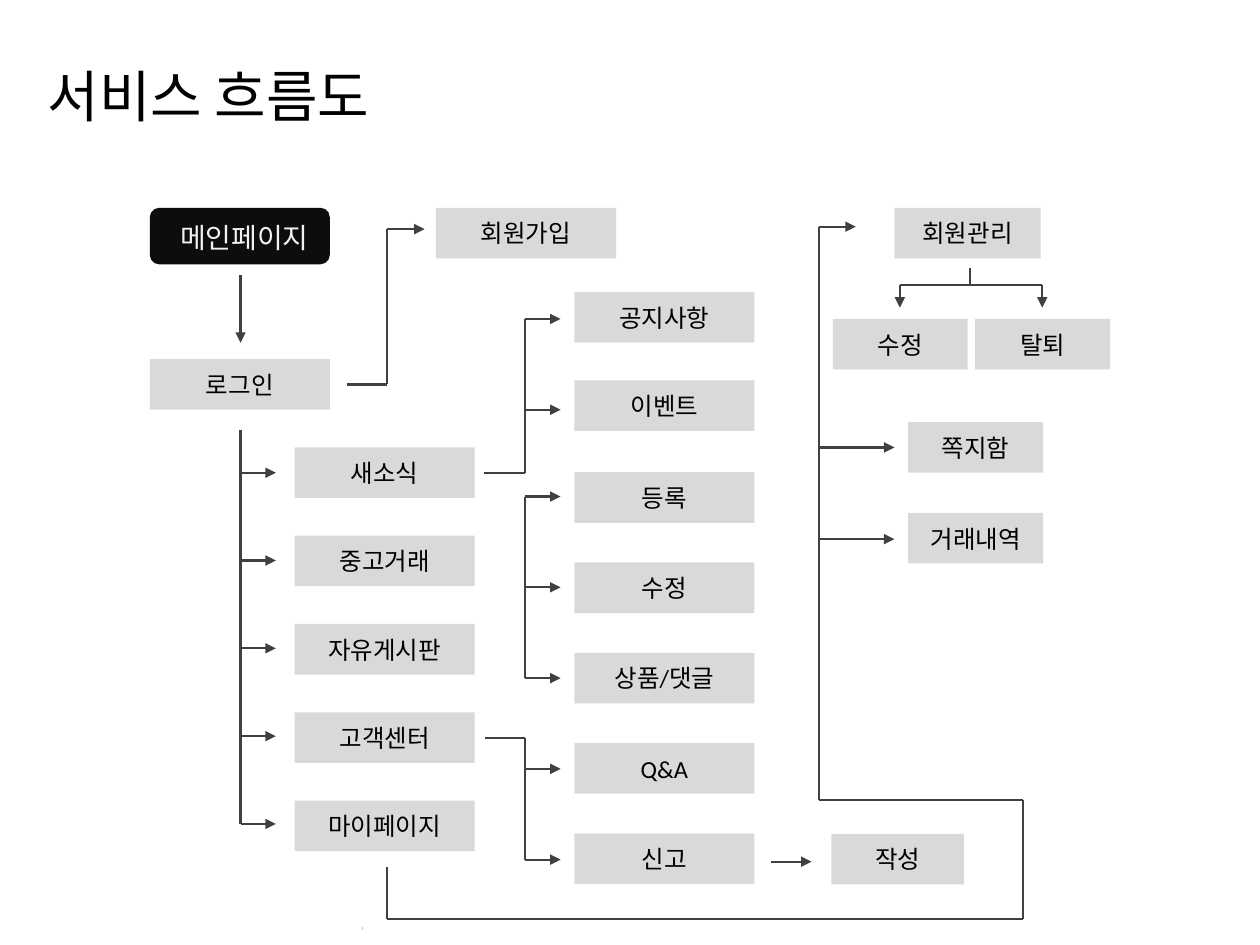
"""Build the service flow chart slide."""
from dataclasses import dataclass

from lxml import etree
from pptx import Presentation
from pptx.dml.color import RGBColor
from pptx.enum.shapes import MSO_CONNECTOR, MSO_SHAPE
from pptx.enum.text import MSO_ANCHOR, MSO_AUTO_SIZE, PP_ALIGN
from pptx.oxml.ns import qn
from pptx.util import Cm, Pt

STRAIGHT = MSO_CONNECTOR.STRAIGHT
RECTANGLE, ROUNDED = MSO_SHAPE.RECTANGLE, MSO_SHAPE.ROUNDED_RECTANGLE
TOP, MIDDLE = MSO_ANCHOR.TOP, MSO_ANCHOR.MIDDLE
LEFT, CENTER = PP_ALIGN.LEFT, PP_ALIGN.CENTER
GROW = MSO_AUTO_SIZE.SHAPE_TO_FIT_TEXT


@dataclass(frozen=True)
class Theme:
    """Colours, fonts and type sizes of the slide."""
    ink: str = "000000"
    start_fill: str = "0D0D0D"
    start_ink: str = "F2F2F2"
    box_fill: str = "D9D9D9"
    line: str = "404040"
    mark: str = "BFBFBF"
    title_font: str = "Lato"
    start_font: str = "Roboto"
    box_font: str = "Calibri"
    title_size: float = 32
    start_size: float = 16
    box_size: float = 14
    line_width: float = 1.25
    mark_width: float = 1.5


THEME = Theme()
WIDE, NARROW, HEIGHT = 3.63, 2.72, 1.02
MENU_X, MENU_Y, MENU_STEP = 5.94, 9.02, 1.78
PAGE_X, PAGE_Y, PAGE_STEP = 11.58, 9.52, 1.82
MENU = ("새소식", "중고거래", "자유게시판", "고객센터", "마이페이지")
PAGES = ("등록", "수정", "상품/댓글", "Q&A", "신고")
BOXES = (
    ("로그인", 3.02, 7.24, WIDE),
    ("회원가입", 8.79, 4.19, WIDE),
    ("공지사항", PAGE_X, 5.89, WIDE),
    ("이벤트", PAGE_X, 7.67, WIDE),
    ("작성", 16.76, 16.81, 2.67),
    ("회원관리", 18.03, 4.19, 2.95),
    ("수정", 16.79, 6.43, NARROW),
    ("탈퇴", 19.66, 6.43, NARROW),
    ("쪽지함", 18.31, 8.51, NARROW),
    ("거래내역", 18.31, 10.34, NARROW),
)
MENU_TRUNK, PAGE_TRUNK, MEMBER_TRUNK = 4.85, 10.58, 16.51
MENU_ARROWS = [9.53 + 1.77 * row for row in range(5)]
PAGE_ARROWS = [10.01 + 1.83 * row for row in range(5)]
TRUNKS = (
    ((MENU_TRUNK, 8.66), (MENU_TRUNK, MENU_ARROWS[-1])),
    ((9.75, 9.53), (PAGE_TRUNK, 9.53), (PAGE_TRUNK, 6.43)),
    ((PAGE_TRUNK, PAGE_ARROWS[0]), (PAGE_TRUNK, PAGE_ARROWS[2])),
    ((9.78, 14.88), (PAGE_TRUNK, 14.88), (PAGE_TRUNK, PAGE_ARROWS[-1])),
    ((7.8, 17.48), (7.8, 18.53), (20.62, 18.53), (20.62, 16.13),
     (MEMBER_TRUNK, 16.13), (MEMBER_TRUNK, 4.57)),
    ((19.56, 5.41), (19.56, 5.74)),
)
ARROWS = (
    ((MENU_TRUNK, 5.54), (MENU_TRUNK, 6.91)),
    ((6.99, 7.75), (7.8, 7.75), (7.8, 4.62), (8.56, 4.62)),
    ((15.54, 17.37), (16.36, 17.37)),
    ((19.56, 5.74), (18.14, 5.74), (18.14, 6.2)),
    ((19.56, 5.74), (21.01, 5.74), (21.01, 6.2)),
)
BRANCHES = (
    (MENU_TRUNK, 5.56, MENU_ARROWS),
    (PAGE_TRUNK, 11.3, [6.43, 8.26, *PAGE_ARROWS]),
    (MEMBER_TRUNK, 17.25, [4.57]),
    (MEMBER_TRUNK, 18.03, [9.02, 10.87]),
)


def write(shape, text, font, size, color, align, anchor):
    """Write one formatted paragraph into a shape."""
    frame = shape.text_frame
    frame.word_wrap = True
    frame.vertical_anchor = anchor
    paragraph = frame.paragraphs[0]
    paragraph.alignment = align
    span = paragraph.add_run()
    span.text = text
    span.font.name = font
    span.font.size = Pt(size)
    span.font.color.rgb = RGBColor.from_string(color)


def add_block(page, kind, color, left, top, width, height):
    """Add a filled shape without outline or shadow."""
    block = page.shapes.add_shape(kind, Cm(left), Cm(top), Cm(width), Cm(height))
    block.shadow.inherit = False
    block.fill.solid()
    block.fill.fore_color.rgb = RGBColor.from_string(color)
    block.line.fill.background()
    return block


def add_box(page, text, left, top, width):
    """Add a grey step of the flow."""
    box = add_block(page, RECTANGLE, THEME.box_fill, left, top, width, HEIGHT)
    write(box, text, THEME.box_font, THEME.box_size, THEME.ink, CENTER, MIDDLE)


def add_title(page, text):
    """Place and fill the title placeholder."""
    title = page.shapes.title
    title.left, title.top = Cm(0.71), Cm(1.12)
    title.width, title.height = Cm(11.38), Cm(1.63)
    write(title, text, THEME.title_font, THEME.title_size, THEME.ink, LEFT, TOP)
    title.text_frame.auto_size = GROW


def add_start(page, text):
    """Add the dark starting step and its label."""
    add_block(page, ROUNDED, THEME.start_fill, 3.02, 4.19, WIDE, 1.14)
    label = page.shapes.add_textbox(Cm(3.38), Cm(4.32), Cm(3.43), Cm(0.94))
    write(label, text, THEME.start_font, THEME.start_size, THEME.start_ink, LEFT, TOP)
    label.text_frame.auto_size = GROW


def add_line(page, start, end, color=THEME.line, width=THEME.line_width):
    """Add a straight line between two points."""
    ends = [Cm(value) for value in (*start, *end)]
    line = page.shapes.add_connector(STRAIGHT, *ends)
    line.line.color.rgb = RGBColor.from_string(color)
    line.line.width = Pt(width)
    etree.SubElement(line.element.spPr, qn("a:effectLst"))
    return line


def add_route(page, points, arrow=False):
    """Join points by lines, with an optional arrowhead at the end."""
    lines = [add_line(page, *pair) for pair in zip(points, points[1:])]
    if arrow:
        outline = lines[-1].line.fill._xPr
        etree.SubElement(outline, qn("a:tailEnd"), type="triangle")


def main():
    """Build and save the slide."""
    deck = Presentation()
    deck.slide_width, deck.slide_height = Cm(25.4), Cm(19.05)
    page = deck.slides.add_slide(deck.slide_layouts[5])
    add_title(page, "서비스 흐름도")
    add_start(page, "메인페이지")
    for row, text in enumerate(MENU):
        add_box(page, text, MENU_X, MENU_Y + MENU_STEP * row, WIDE)
    for row, text in enumerate(PAGES):
        add_box(page, text, PAGE_X, PAGE_Y + PAGE_STEP * row, WIDE)
    for box in BOXES:
        add_box(page, *box)
    for points in TRUNKS:
        add_route(page, points)
    for points in ARROWS:
        add_route(page, points, arrow=True)
    for start, end, rows in BRANCHES:
        for row in rows:
            add_route(page, ((start, row), (end, row)), arrow=True)
    add_line(page, (7.29, 18.72), (7.32, 18.72), THEME.mark, THEME.mark_width)
    deck.save("out.pptx")


if __name__ == "__main__":
    main()
